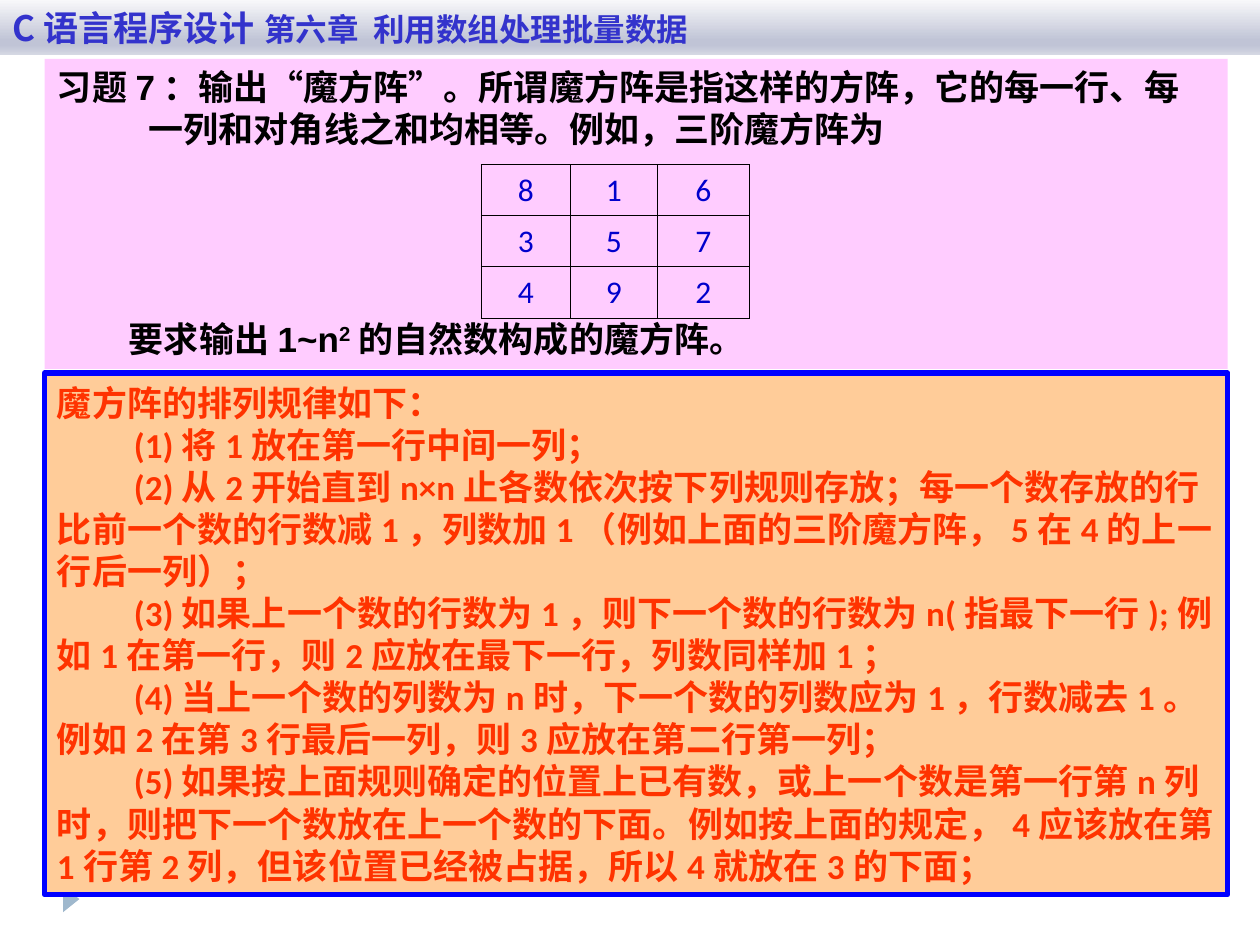
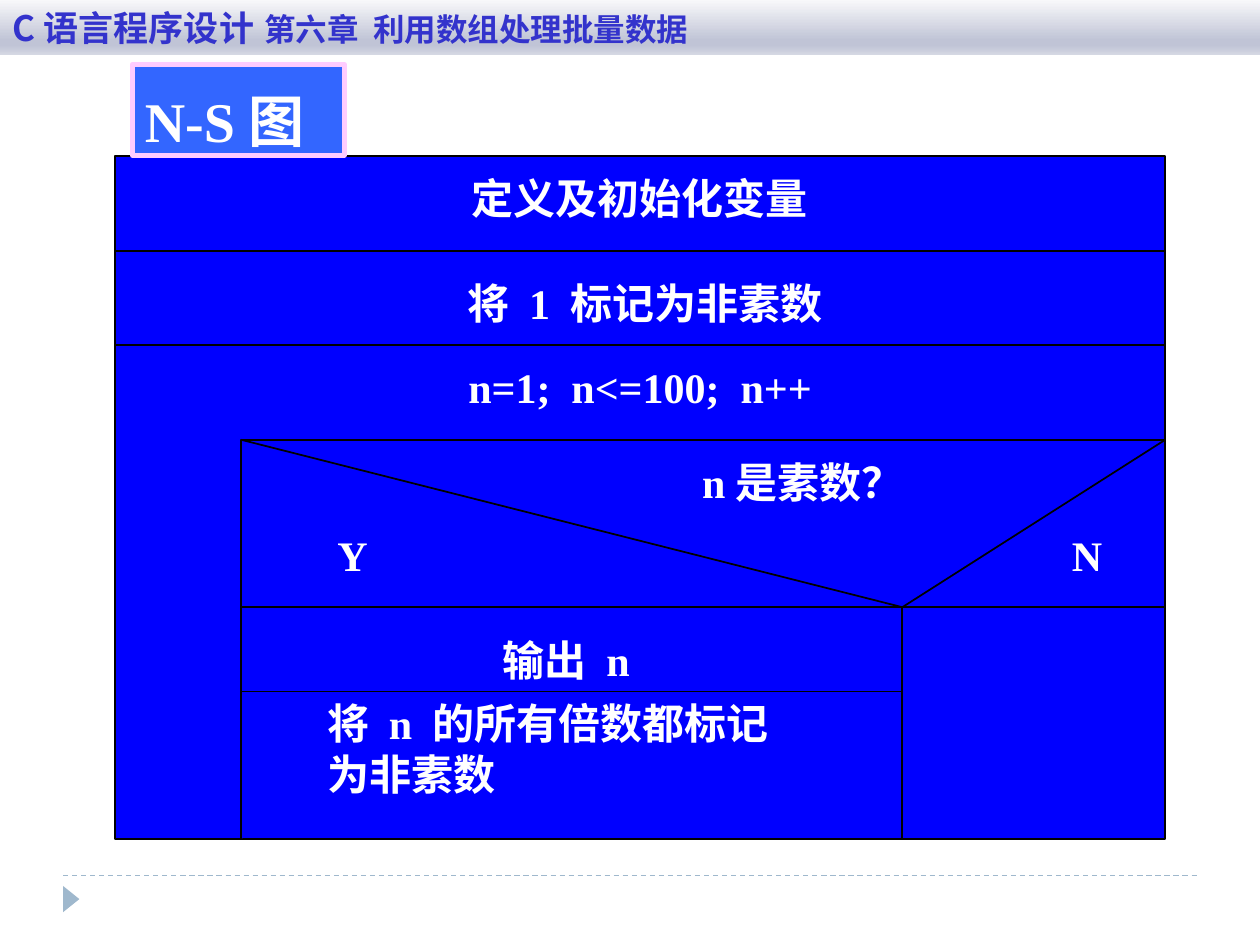
from lxml import etree
from pptx import Presentation
from pptx.dml.color import RGBColor
from pptx.enum.dml import MSO_LINE
from pptx.enum.lang import MSO_LANGUAGE_ID
from pptx.enum.shapes import MSO_CONNECTOR, MSO_SHAPE
from pptx.enum.text import MSO_ANCHOR, PP_ALIGN
from pptx.oxml.ns import qn
from pptx.util import Cm, Pt

RECT, TRI = MSO_SHAPE.RECTANGLE, MSO_SHAPE.ISOSCELES_TRIANGLE
LINE, DASH = MSO_CONNECTOR.STRAIGHT, MSO_LINE.DASH
LEFT, MID = PP_ALIGN.LEFT, PP_ALIGN.CENTER
TOP, HALF = MSO_ANCHOR.TOP, MSO_ANCHOR.MIDDLE
CHINESE = MSO_LANGUAGE_ID.SIMPLIFIED_CHINESE

BLACK = RGBColor(0, 0, 0)
WHITE = RGBColor(255, 255, 255)
BLUE = RGBColor(0, 0, 255)
SKY = RGBColor(0x33, 0x66, 0xFF)
NAVY = RGBColor(0, 0, 0xCC)
TITLE = RGBColor(0x33, 0x33, 0xCC)
PINK = RGBColor(0xFF, 0xCC, 0xFF)
PEACH = RGBColor(0xFF, 0xCC, 0x99)
RED = RGBColor(0xFF, 0x33, 0x00)
STEEL = RGBColor(0x9F, 0xB8, 0xCD)
BAND = [(0, "F8F8FA"), (74, "C0C4D6"), (83, "C0C4D6"), (100, "D5D8E3")]

WIDE, HIGH = 25.4, 19.05
SANS, BODY, SERIF, HEAD = "Arial", "Calibri", "Times New Roman", "Noto Sans CJK JP"

COURSE, CHAPTER = "C语言程序设计", "第六章  利用数组处理批量数据"
TASK = "习题7：输出“魔方阵”。所谓魔方阵是指这样的方阵，它的每一行、每一列和对角线之和均相等。例如，三阶魔方阵为"
NEED = [("要求输出1~n", {}), ("2", {"base": 30000}), ("的自然数构成的魔方阵。", {})]
SQUARE = [(8, 1, 6), (3, 5, 7), (4, 9, 2)]
LEAD = "魔方阵的排列规律如下："
RULES = [
    "(1)将1放在第一行中间一列；",
    "(2)从2开始直到n×n止各数依次按下列规则存放；每一个数存放的行比前一个数的行数减1，"
    "列数加1（例如上面的三阶魔方阵，5在4的上一行后一列）；",
    "(3)如果上一个数的行数为1，则下一个数的行数为n(指最下一行);例如1在第一行，"
    "则2应放在最下一行，列数同样加1；",
    "(4)当上一个数的列数为n时，下一个数的列数应为1，行数减去1。例如2在第3行最后一列，"
    "则3应放在第二行第一列；",
    "(5)如果按上面规则确定的位置上已有数，或上一个数是第一行第n列时，则把下一个数放在"
    "上一个数的下面。例如按上面的规定，4应该放在第1行第2列，但该位置已经被占据，"
    "所以4就放在3的下面；",
]
# text, left, top, width, alignment
STEPS = [
    ("定义及初始化变量", 6.76, 3.35, 12.27, MID),
    ("将 1 标记为非素数", 7.39, 5.46, 11.23, MID),
    ("n=1;  n<=100;  n++", 5.92, 7.16, 13.97, MID),
    ("n是素数？", 11.84, 9.07, 8.69, MID),
    ("Y", 6.55, 10.54, 2.34, LEFT),
    ("N", 21.36, 10.54, 1.7, LEFT),
    ("输出 n", 6.12, 12.67, 10.59, MID),
    ("将 n 的所有倍数都标记为非素数", 6.35, 13.94, 10.16, LEFT),
]


def box(area, kind, at, fill, line=None, width=1):
    """Add a preset shape with a plain fill and an optional line."""
    item = area.add_shape(kind, *map(Cm, at))
    paint(item, fill, line, width)
    return item


def paint(item, fill, line, width):
    """Set fill and line, and drop the shadow."""
    item.shadow.inherit = False
    item.fill.solid()
    item.fill.fore_color.rgb = fill
    if line is None:
        item.line.fill.background()
    else:
        item.line.color.rgb = line
        item.line.width = Pt(width)


def rule(area, start, end, color=BLACK, width=1, dash=None):
    """Draw a straight line between two points."""
    item = area.add_connector(LINE, *map(Cm, start + end))
    item.line.color.rgb = color
    item.line.width = Pt(width)
    if dash:
        item.line.dash_style = dash
    etree.SubElement(item._element.spPr, qn("a:effectLst"))


def write(frame, text, size=20, font=BODY, color=BLACK, bold=True, align=LEFT,
          left=0, first=0, before=0, more=False):
    """Write a paragraph; text is a string or a list of (string, format) runs."""
    para = frame.add_paragraph() if more else frame.paragraphs[0]
    para.alignment = align
    para.space_before = Pt(before)
    props = para._p.get_or_add_pPr()
    props.set("marL", str(Cm(left)))
    props.set("indent", str(Cm(first)))
    for part, form in [(text, {})] if isinstance(text, str) else text:
        run = para.add_run()
        run.text = part
        face = run.font
        face.size, face.name, face.bold = Pt(form.get("size", size)), font, bold
        face.color.rgb = color
        face.language_id = CHINESE
        if "base" in form:
            face._element.set("baseline", str(form["base"]))
    return para


def setup(frame, anchor=TOP, inset=0.13):
    """Make a text frame wrap, with the given anchor and top and bottom inset."""
    frame.word_wrap = True
    frame.vertical_anchor = anchor
    frame.margin_top = frame.margin_bottom = Cm(inset)
    return frame


def foot(area):
    """Add the footer rule and marker."""
    rule(area, (1.27, 17.65), (24.13, 17.65), STEEL, 0.75, DASH)
    box(area, TRI, (1.17, 17.96, 0.53, 0.33), STEEL).rotation = 90


def head(area):
    """Add the shaded band with course and chapter."""
    band = box(area, RECT, (0, 0, WIDE, 1.11), WHITE)
    band.fill.gradient()
    band.fill.gradient_angle = 270
    stops = band._element.spPr.find(".//" + qn("a:gsLst"))
    for old in list(stops):
        stops.remove(old)
    for pos, shade in BAND:
        stop = etree.SubElement(stops, qn("a:gs"), pos=str(pos * 1000))
        etree.SubElement(stop, qn("a:srgbClr"), val=shade)
    para = write(setup(band.text_frame, HALF, 0),
                 [(COURSE + "\t", {}), (CHAPTER, {"size": 18})],
                 font=HEAD, color=TITLE)
    tabs = etree.SubElement(para._p.get_or_add_pPr(), qn("a:tabLst"))
    etree.SubElement(tabs, qn("a:tab"), pos=str(Cm(15.62)), algn="l")


def edge(cell):
    """Give a cell thin black borders and no fill."""
    cell.fill.background()
    props = cell._tc.get_or_add_tcPr()
    for spot, side in enumerate(("lnL", "lnR", "lnT", "lnB")):
        line = etree.Element(qn("a:" + side), w=str(Pt(0.5)))
        fill = etree.SubElement(line, qn("a:solidFill"))
        etree.SubElement(fill, qn("a:srgbClr"), val=str(BLACK))
        props.insert(spot, line)


def grid(area):
    """Add the magic square."""
    cols, row = (1.8, 1.75, 1.86), 1.03
    table = area.add_table(3, 3, Cm(9.7), Cm(3.32), Cm(sum(cols)), Cm(3 * row)).table
    table.first_row = table.horz_banding = False
    for col, size in zip(table.columns, cols):
        col.width = Cm(size)
    for line, values in zip(table.rows, SQUARE):
        line.height = Cm(row)
        for cell, value in zip(line.cells, values):
            edge(cell)
            write(cell.text_frame, str(value), size=18, color=NAVY, bold=False, align=MID)


def magic(area):
    """Fill the slide on the magic square."""
    foot(area)
    task = setup(box(area, RECT, (0.9, 1.19, 23.85, 6.25), PINK).text_frame)
    write(task, TASK, font=SANS, left=1.85, first=-1.85)
    write(task, NEED, font=SANS, left=1.45, before=96, more=True)
    grid(area)
    head(area)
    note = box(area, RECT, (0.9, 7.52, 23.85, 10.52), PEACH, BLUE, 3)
    note = setup(note.text_frame, HALF)
    write(note, LEAD, color=RED)
    for text in RULES:
        write(note, text, color=RED, first=1.55, more=True)


def chart(area):
    """Draw the N-S chart as one group."""
    left, inner, split, right = 2.32, 4.86, 18.19, 23.49
    top, step, test, out, base = 3.15, 1.905, 12.24, 13.94, 16.91
    loop = top + 3 * step
    group = area.add_group_shape().shapes
    box(group, RECT, (left, top, right - left, base - top), BLUE, BLACK)
    for count in (1, 2):
        rule(group, (left, top + count * step), (right, top + count * step))
    path = group.build_freeform(Cm(right), Cm(loop))
    path.add_line_segments([(Cm(inner), Cm(loop)), (Cm(inner), Cm(base))], close=False)
    paint(path.convert_to_shape(), BLUE, BLACK, 1)
    for start, end in [((inner, test), (right, test)), ((inner, loop), (split, test)),
                       ((split, test), (right, loop)), ((split, test), (split, base)),
                       ((inner, out), (split, out))]:
        rule(group, start, end)
    for text, x, y, width, align in STEPS:
        label = group.add_textbox(Cm(x), Cm(y), Cm(width), Cm(1.27))
        write(setup(label.text_frame), text, size=24, font=SERIF, color=WHITE, align=align)


def flow(area):
    """Fill the slide with the N-S chart."""
    foot(area)
    chart(area)
    name = box(area, RECT, (2.67, 1.3, 4.27, 1.83), SKY, PINK, 3)
    write(setup(name.text_frame, inset=0.45), "N-S图", size=32, font=SERIF, color=WHITE)
    head(area)


deck = Presentation()
deck.slide_width, deck.slide_height = Cm(WIDE), Cm(HIGH)
for build in (magic, flow):
    build(deck.slides.add_slide(deck.slide_layouts[6]).shapes)
deck.save("out.pptx")
